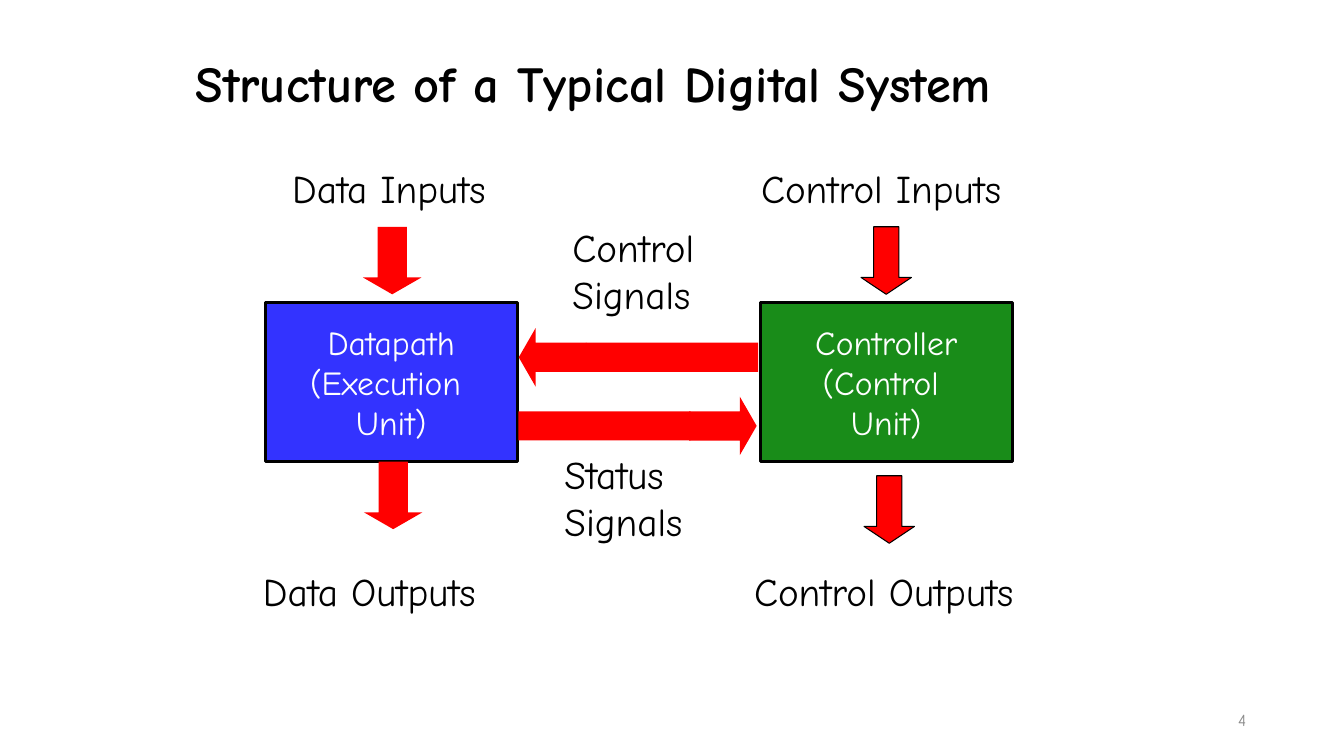
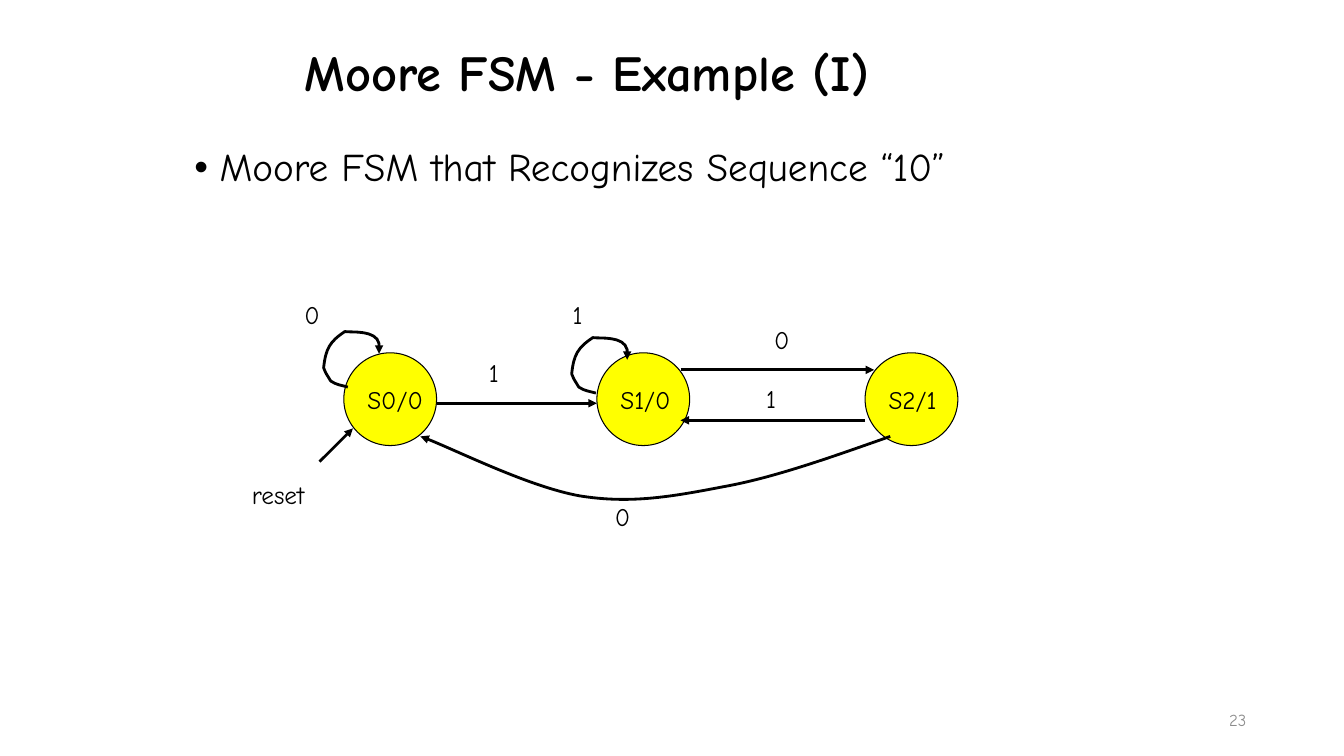
"""Build two slides on digital systems: block structure and a Moore machine."""
from dataclasses import dataclass

from lxml.etree import SubElement
from pptx import Presentation
from pptx.dml.color import RGBColor
from pptx.enum.shapes import MSO_CONNECTOR as Connector, MSO_SHAPE as Preset
from pptx.enum.text import MSO_ANCHOR as Anchor, MSO_AUTO_SIZE as AutoSize, PP_ALIGN as Align
from pptx.oxml.ns import qn
from pptx.util import Inches, Pt


@dataclass(frozen=True)
class Theme:
    """Hold the font, colours and sizes shared by the slides."""
    font: str = "Comic Neue"
    black: str = "000000"
    white: str = "FFFFFF"
    grey: str = "8C8C8C"
    blue: str = "0000FF"
    green: str = "008000"
    red: str = "FF0000"
    yellow: str = "FFFF00"
    title: int = 36
    label: int = 28
    block: int = 24
    state: int = 18
    footer: int = 12
    thick: float = 2
    thin: float = 0.75


THEME = Theme()
STATE_SIZE = 0.92
BLOCK_SIZE = (2.5, 1.58)
ARROW_WIDTH, ARROW_LENGTH = 0.58, 0.67
LOOP = [(3.45, 3.84), (3.38, 3.82), (3.34, 3.82), (3.28, 3.78),
        (3.22, 3.68), (3.24, 3.72), (3.21, 3.65),
        (3.23, 3.46), (3.27, 3.39), (3.42, 3.29),
        (3.49, 3.3), (3.73, 3.27), (3.76, 3.41),
        (3.76, 3.44), (3.76, 3.48), (3.76, 3.51)]
RETURN_CURVE = [(8.83, 4.33), (8.26, 4.53), (7.68, 4.74), (7.17, 4.83),
                (6.65, 4.93), (6.25, 5), (5.75, 4.92),
                (5.25, 4.83), (4.43, 4.42), (4.17, 4.33)]


def apply(target, values):
    """Set every attribute named in a dict."""
    for name, value in values.items():
        setattr(target, name, value)


def set_bullet(paragraph):
    """Give a paragraph a bullet with a hanging indent."""
    properties = paragraph._p.get_or_add_pPr()
    for name, inches in (("marL", 0.25), ("indent", -0.25)):
        properties.set(name, str(Inches(inches)))
    SubElement(properties, qn("a:buFont"), typeface="Arial")
    SubElement(properties, qn("a:buChar"), char="•")


def write(shape, text, size, color=THEME.black, bold=False, bullet=False,
          frame=None, paragraph=None):
    """Fill a shape with text, one paragraph for each line."""
    text_frame = shape.text_frame
    text_frame.text = text
    apply(text_frame, frame or {})
    for line in text_frame.paragraphs:
        if bullet:
            set_bullet(line)
        apply(line, paragraph or {})
        apply(line.font, {"name": THEME.font, "size": Pt(size), "bold": bold})
        line.font.color.rgb = RGBColor.from_string(color)


def set_line(shape, color, width):
    """Give a shape an outline, or none when the width is zero."""
    if width:
        shape.line.color.rgb = RGBColor.from_string(color)
        shape.line.width = Pt(width)
    else:
        shape.line.fill.background()


def add_arrowhead(shape):
    """Put a triangle at the end of a line."""
    outline = shape.element.spPr.find(qn("a:ln"))
    SubElement(outline, qn("a:tailEnd"), type="triangle")


def add_slide(presentation, title, left, top, number):
    """Add a slide with its title and page number."""
    slide = presentation.slides.add_slide(presentation.slide_layouts[5])
    shape = slide.shapes.title
    apply(shape, {"left": Inches(left), "top": Inches(top),
                  "width": Inches(13.33 - left), "height": Inches(1.45)})
    write(shape, title, THEME.title, bold=True,
          frame={"vertical_anchor": Anchor.MIDDLE, "word_wrap": True},
          paragraph={"alignment": Align.LEFT, "line_spacing": 0.9})
    footer = slide.shapes.add_textbox(Inches(9.46), Inches(6.94), Inches(3), Inches(0.4))
    write(footer, str(number), THEME.footer, THEME.grey,
          frame={"vertical_anchor": Anchor.MIDDLE, "word_wrap": True},
          paragraph={"alignment": Align.RIGHT})
    return slide


def add_label(slide, text, left, top, width, height, size):
    """Add a label that does not wrap."""
    box = slide.shapes.add_textbox(Inches(left), Inches(top), Inches(width), Inches(height))
    write(box, text, size,
          frame={"auto_size": AutoSize.SHAPE_TO_FIT_TEXT, "word_wrap": False})


def add_bullet(slide, text, left, top, width, height):
    """Add a bulleted line of text."""
    box = slide.shapes.add_textbox(Inches(left), Inches(top), Inches(width), Inches(height))
    write(box, text, THEME.label, bullet=True, frame={"word_wrap": True},
          paragraph={"line_spacing": 0.9})


def add_preset(slide, preset, left, top, width, height, fill, line_width=0):
    """Add a filled preset shape."""
    shape = slide.shapes.add_shape(
        preset, Inches(left), Inches(top), Inches(width), Inches(height))
    shape.shadow.inherit = False
    shape.fill.solid()
    shape.fill.fore_color.rgb = RGBColor.from_string(fill)
    set_line(shape, THEME.black, line_width)
    return shape


def add_block(slide, text, left, top, fill, opacity):
    """Add a translucent block with centred text."""
    shape = add_preset(slide, Preset.RECTANGLE, left, top, *BLOCK_SIZE, fill, THEME.thick)
    color = shape.element.spPr.find(qn("a:solidFill"))[0]
    SubElement(color, qn("a:alpha"), val=str(opacity * 1000))
    write(shape, text, THEME.block, THEME.white,
          frame={"vertical_anchor": Anchor.MIDDLE, "word_wrap": False},
          paragraph={"alignment": Align.CENTER})


def add_block_arrow(slide, left, top, width=ARROW_WIDTH, line_width=0, rotation=0):
    """Add a red block arrow whose head is a sixth of an inch long."""
    shape = add_preset(slide, Preset.DOWN_ARROW, left, top, width, ARROW_LENGTH,
                       THEME.red, line_width)
    shape.adjustments[0] = 0.5
    shape.adjustments[1] = 1 / 6 / width
    shape.rotation = rotation


def add_signal(slide, arrow_left, arrow_top, shaft_left, rotation):
    """Add a sideways block arrow lengthened by a shaft."""
    add_block_arrow(slide, arrow_left, arrow_top, rotation=rotation)
    shaft_height = ARROW_WIDTH / 2
    shaft_top = arrow_top + (ARROW_LENGTH - shaft_height) / 2
    add_preset(slide, Preset.RECTANGLE, shaft_left, shaft_top, 1.71, shaft_height, THEME.red)


def add_state(slide, text, left, top):
    """Add a state circle."""
    shape = add_preset(slide, Preset.OVAL, left, top, STATE_SIZE, STATE_SIZE,
                       THEME.yellow, THEME.thin)
    write(shape, text, THEME.state,
          frame={"vertical_anchor": Anchor.MIDDLE, "word_wrap": False},
          paragraph={"alignment": Align.LEFT})


def add_arrow(slide, start, end):
    """Add a straight transition arrow."""
    connector = slide.shapes.add_connector(
        Connector.STRAIGHT, *(Inches(value) for value in (*start, *end)))
    set_line(connector, THEME.black, THEME.thick)
    add_arrowhead(connector)
    SubElement(connector.element.spPr, qn("a:effectLst"))


def bend(shape):
    """Turn each three straight segments of a freeform into one cubic curve."""
    segments = list(shape.element.iter(qn("a:lnTo")))
    outline = segments[0].getparent()
    for first in range(0, len(segments), 3):
        curve = SubElement(outline, qn("a:cubicBezTo"))
        for segment in segments[first:first + 3]:
            curve.append(segment[0])
            outline.remove(segment)


def add_curve(slide, controls, shift=(0, 0)):
    """Add a curved transition arrow through cubic segments."""
    start, *rest = [(Inches(x + shift[0]), Inches(y + shift[1])) for x, y in controls]
    builder = slide.shapes.build_freeform(*start)
    builder.add_line_segments(rest, close=False)
    shape = builder.convert_to_shape()
    bend(shape)
    shape.shadow.inherit = False
    shape.fill.background()
    set_line(shape, THEME.black, THEME.thick)
    add_arrowhead(shape)


def build_structure(presentation):
    """Build the slide with datapath and controller."""
    slide = add_slide(presentation, "Structure of a Typical Digital System", 1.84, 0.13, 4)
    add_block(slide, "Datapath\n(Execution \nUnit)", 2.63, 3, THEME.blue, 80)
    add_block(slide, "Controller\n(Control \nUnit)", 7.54, 3, THEME.green, 90)
    for left, top, width, line_width in (
            (3.6, 2.25, ARROW_WIDTH, 0), (3.61, 4.58, ARROW_WIDTH, 0),
            (8.54, 2.25, 0.5, THEME.thin), (8.57, 4.72, 0.5, THEME.thin)):
        add_block_arrow(slide, left, top, width, line_width)
    add_signal(slide, 5.19, 3.21, 5.81, 90)
    add_signal(slide, 6.88, 3.89, 5.14, 270)
    for text, left, top, width, height in (
            ("Data Inputs", 2.8, 1.58, 2.4, 0.57),
            ("Data Outputs", 2.51, 5.58, 2.69, 0.57),
            ("Control Inputs", 7.45, 1.58, 2.87, 0.57),
            ("Control Outputs", 7.38, 5.58, 3.15, 0.57),
            ("Control\nSignals", 5.58, 2.17, 1.66, 1.04),
            ("Status\nSignals", 5.5, 4.42, 1.5, 1.04)):
        add_label(slide, text, left, top, width, height, THEME.label)


def build_moore(presentation):
    """Build the slide with the Moore state diagram."""
    slide = add_slide(presentation, "Moore FSM - Example (I)", 2.92, 0.02, 23)
    add_bullet(slide, "Moore FSM that Recognizes Sequence “10”", 1.83, 1.42, 9.58, 5.5)
    for text, left in (("S0/0", 3.41), ("S1/0", 5.92), ("S2/1", 8.58)):
        add_state(slide, text, left, 3.5)
    for shift in ((0, 0), (2.46, 0.06)):
        add_curve(slide, LOOP, shift)
    add_curve(slide, RETURN_CURVE)
    for start, end in (((4.33, 4), (5.92, 4)), ((6.75, 3.67), (8.67, 3.67)),
                       ((8.58, 4.17), (6.75, 4.17)), ((3.17, 4.58), (3.5, 4.25))):
        add_arrow(slide, start, end)
    for text, left, top, width in (
            ("0", 2.92, 2.92, 0.36), ("0", 7.58, 3.17, 0.36), ("0", 6, 4.92, 0.36),
            ("1", 5.58, 2.92, 0.32), ("1", 4.75, 3.5, 0.32), ("1", 7.5, 3.75, 0.32),
            ("reset", 2.4, 4.71, 0.84)):
        add_label(slide, text, left, top, width, 0.4, THEME.state)


def main():
    """Build and save the presentation."""
    presentation = Presentation()
    apply(presentation, {"slide_width": Inches(13.33), "slide_height": Inches(7.5)})
    build_structure(presentation)
    build_moore(presentation)
    presentation.save("out.pptx")


if __name__ == "__main__":
    main()
